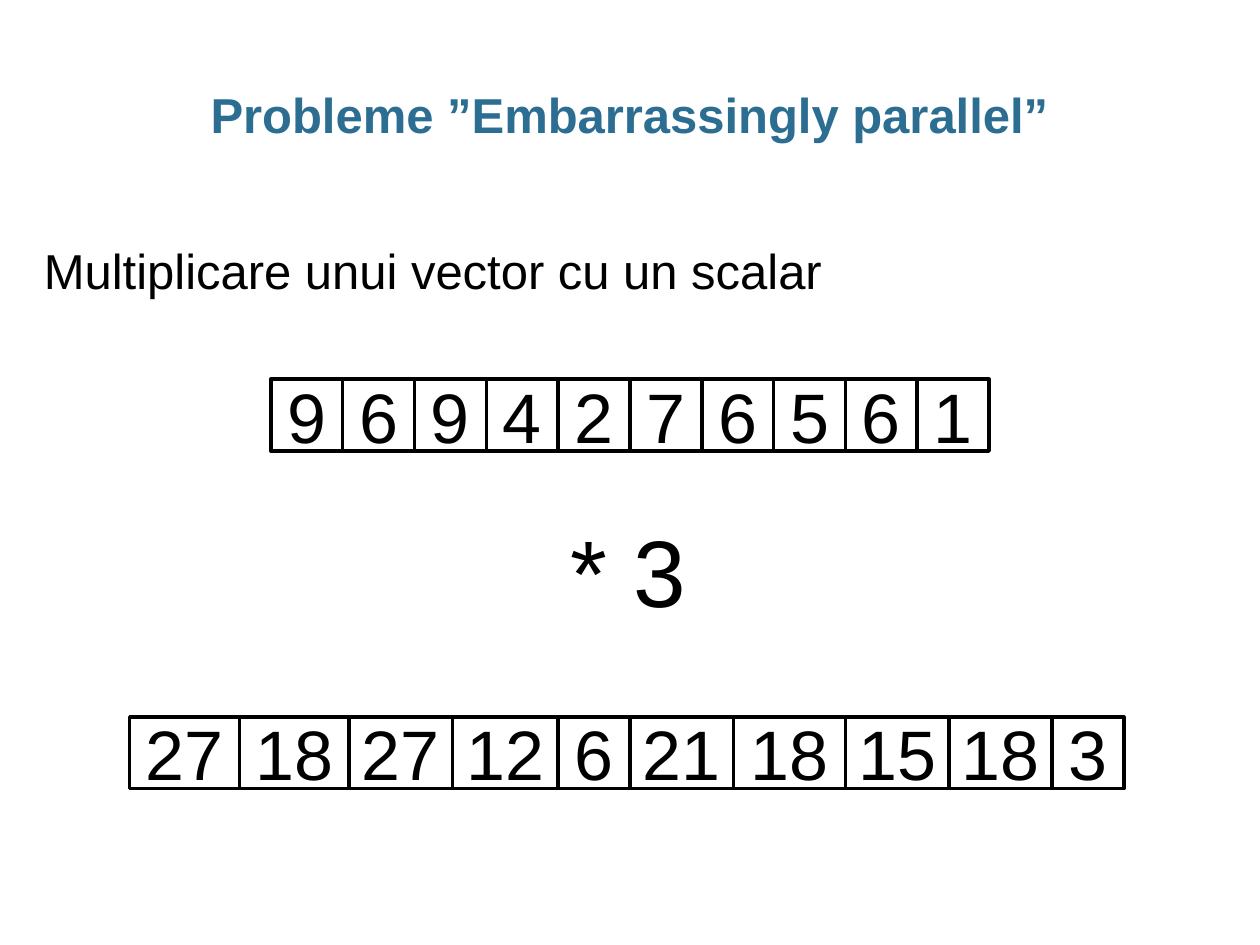
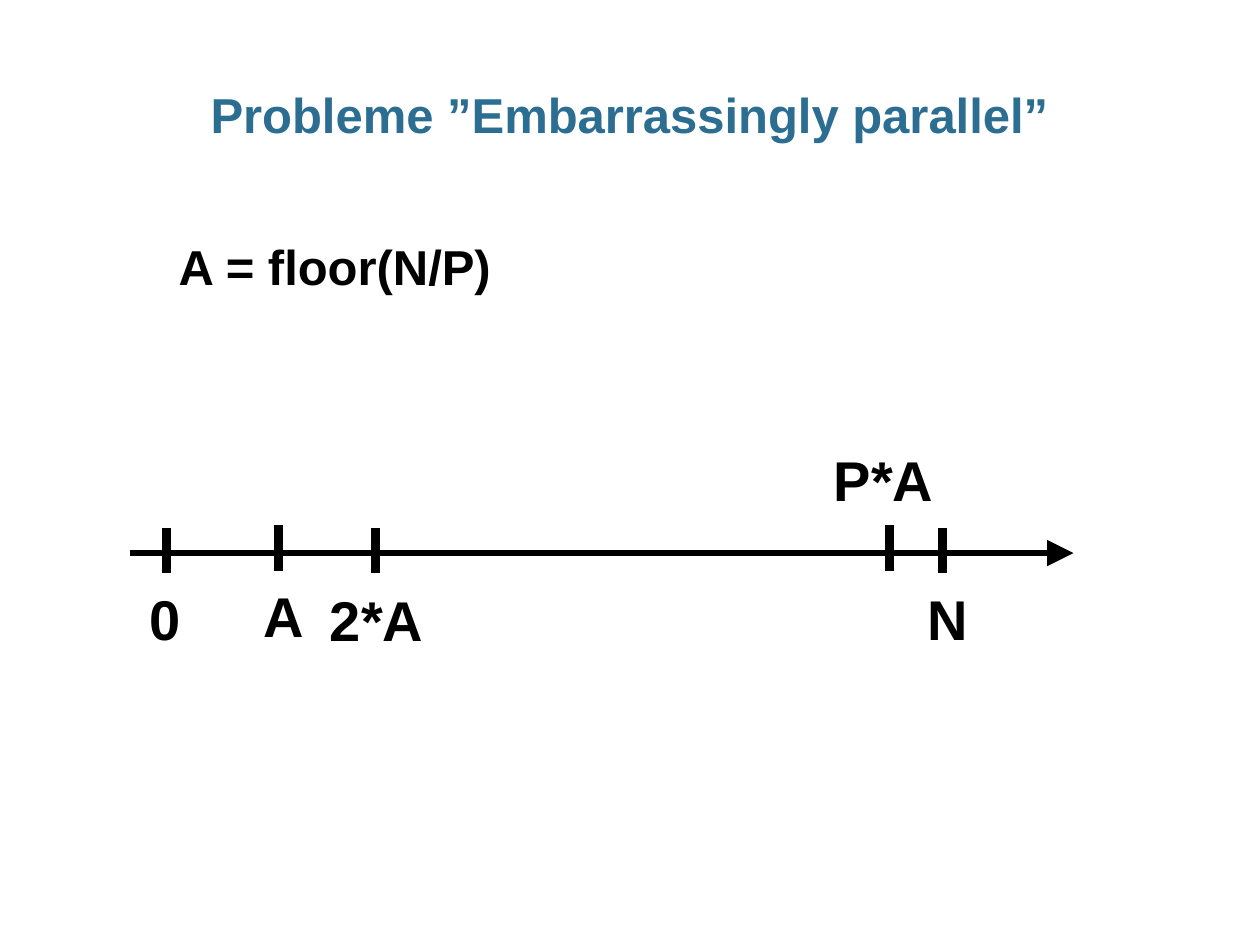
"""Build two slides on embarrassingly parallel problems."""
from dataclasses import dataclass
from itertools import accumulate
from typing import Any

from lxml import etree
from pptx import Presentation
from pptx.dml.color import RGBColor
from pptx.enum.shapes import MSO_CONNECTOR, MSO_SHAPE
from pptx.enum.text import MSO_ANCHOR, MSO_AUTO_SIZE, PP_ALIGN
from pptx.oxml.ns import qn
from pptx.util import Emu, Pt

LINE = MSO_CONNECTOR.STRAIGHT
RECT = MSO_SHAPE.RECTANGLE
MIDDLE = MSO_ANCHOR.MIDDLE
FIXED = MSO_AUTO_SIZE.NONE
GROW = MSO_AUTO_SIZE.SHAPE_TO_FIT_TEXT
LEFT, CENTER = PP_ALIGN.LEFT, PP_ALIGN.CENTER

SCALE = 9144
TITLE = "Probleme ”Embarrassingly parallel”"
SCALAR = 3
VECTOR = (9, 6, 9, 4, 2, 7, 6, 5, 6, 1)
SIDE = 57
WIDTHS = (87, 87, 82, 84, 57, 82, 89, 82, 82, 57)
TICK = 36


@dataclass(frozen=True)
class Theme:
    """Colours, font and sizes shared by the slides."""
    font: str = "Arial"
    ink: RGBColor = RGBColor(0, 0, 0)
    title: RGBColor = RGBColor(0x2C, 0x6D, 0x92)
    body: int = 28
    label: int = 32
    digit: int = 40
    factor: int = 54
    edge: int = 2
    axis: int = 3
    tick: int = 5


@dataclass(frozen=True)
class Box:
    """A place on the slide in px."""
    left: int
    top: int
    width: int
    height: int

    def emu(self) -> tuple[Emu, ...]:
        """Give the place in EMU."""
        return tuple(Emu(n * SCALE) for n in (self.left, self.top, self.width, self.height))


@dataclass(frozen=True)
class Mark:
    """A tick on the axis and its label."""
    text: str
    x: int
    top: int
    box: Box


THEME = Theme()
MARKS = (
    Mark("0", 132, 419, Box(109, 459, 45, 64)),
    Mark("A", 221, 417, Box(199, 457, 53, 64)),
    Mark("2*A", 298, 419, Box(252, 460, 95, 64)),
    Mark("P*A", 706, 417, Box(652, 349, 100, 64)),
    Mark("N", 748, 419, Box(726, 459, 53, 64)),
)


def write(frame: Any, text: str, *, size: int, color: RGBColor = THEME.ink,
          bold: bool = False, align: PP_ALIGN = LEFT) -> None:
    """Put formatted text in a frame."""
    frame.text = text
    para = frame.paragraphs[0]
    para.alignment = align
    font = para.runs[0].font
    font.name, font.size, font.bold = THEME.font, Pt(size), bold
    font.color.rgb = color


def add_text(slide: Any, text: str, box: Box, size: int, bold: bool = False) -> None:
    """Add a text box that grows with its text."""
    frame = slide.shapes.add_textbox(*box.emu()).text_frame
    frame.word_wrap = False
    frame.auto_size = GROW
    write(frame, text, size=size, bold=bold)


def add_cell(slide: Any, value: int, box: Box) -> None:
    """Add an outlined cell with a number."""
    cell = slide.shapes.add_shape(RECT, *box.emu())
    cell.shadow.inherit = False
    cell.fill.background()
    cell.line.color.rgb = THEME.ink
    cell.line.width = Pt(THEME.edge)
    frame = cell.text_frame
    frame.word_wrap = False
    frame.vertical_anchor = MIDDLE
    write(frame, str(value), size=THEME.digit, align=CENTER)


def add_row(slide: Any, values: tuple[int, ...], widths: tuple[int, ...],
            left: int, top: int) -> None:
    """Add touching cells from left to right."""
    for value, width, x in zip(values, widths, accumulate(widths, initial=left)):
        add_cell(slide, value, Box(x, top, width, SIDE))


def add_line(slide: Any, box: Box, width: int, arrow: bool = False) -> None:
    """Add a straight line, with an arrowhead if asked."""
    x, y, wide, high = box.emu()
    line = slide.shapes.add_connector(LINE, x, y, x + wide, y + high)
    line.line.color.rgb = THEME.ink
    line.line.width = Pt(width)
    props = line._element.spPr
    if arrow:
        etree.SubElement(props.find(qn("a:ln")), qn("a:tailEnd"),
                         type="triangle", w="lg", len="lg")
    etree.SubElement(props, qn("a:effectLst"))


def add_slide(deck: Any) -> Any:
    """Add a slide with the shared title."""
    slide = deck.slides.add_slide(deck.slide_layouts[5])
    title = slide.shapes.title
    title.left, title.top, title.width, title.height = Box(34, 68, 931, 50).emu()
    frame = title.text_frame
    frame.auto_size = FIXED
    frame.vertical_anchor = MIDDLE
    frame.margin_left = frame.margin_right = 0
    write(frame, TITLE, size=THEME.body, color=THEME.title, bold=True, align=CENTER)
    frame.paragraphs[0].line_spacing = 0.95
    return slide


def draw_vector(deck: Any) -> None:
    """Show a vector times a scalar."""
    slide = add_slide(deck)
    add_text(slide, "Multiplicare unui vector cu un scalar",
             Box(25, 186, 646, 57), THEME.body)
    add_row(slide, VECTOR, (SIDE,) * len(VECTOR), 215, 301)
    add_text(slide, f"* {SCALAR}", Box(443, 402, 113, 101), THEME.factor)
    add_row(slide, tuple(SCALAR * n for n in VECTOR), WIDTHS, 103, 569)


def draw_axis(deck: Any) -> None:
    """Show how the range is split on an axis."""
    slide = add_slide(deck)
    add_text(slide, "A = floor(N/P)", Box(132, 183, 282, 57), THEME.body, bold=True)
    add_line(slide, Box(103, 439, 749, 0), THEME.axis, arrow=True)
    for mark in MARKS:
        add_line(slide, Box(mark.x, mark.top, 0, TICK), THEME.tick)
        add_text(slide, mark.text, mark.box, THEME.label, bold=True)


def main() -> None:
    """Build and save the deck."""
    deck = Presentation()
    deck.slide_width, deck.slide_height = Emu(1000 * SCALE), Emu(750 * SCALE)
    draw_vector(deck)
    draw_axis(deck)
    deck.save("out.pptx")


if __name__ == "__main__":
    main()
